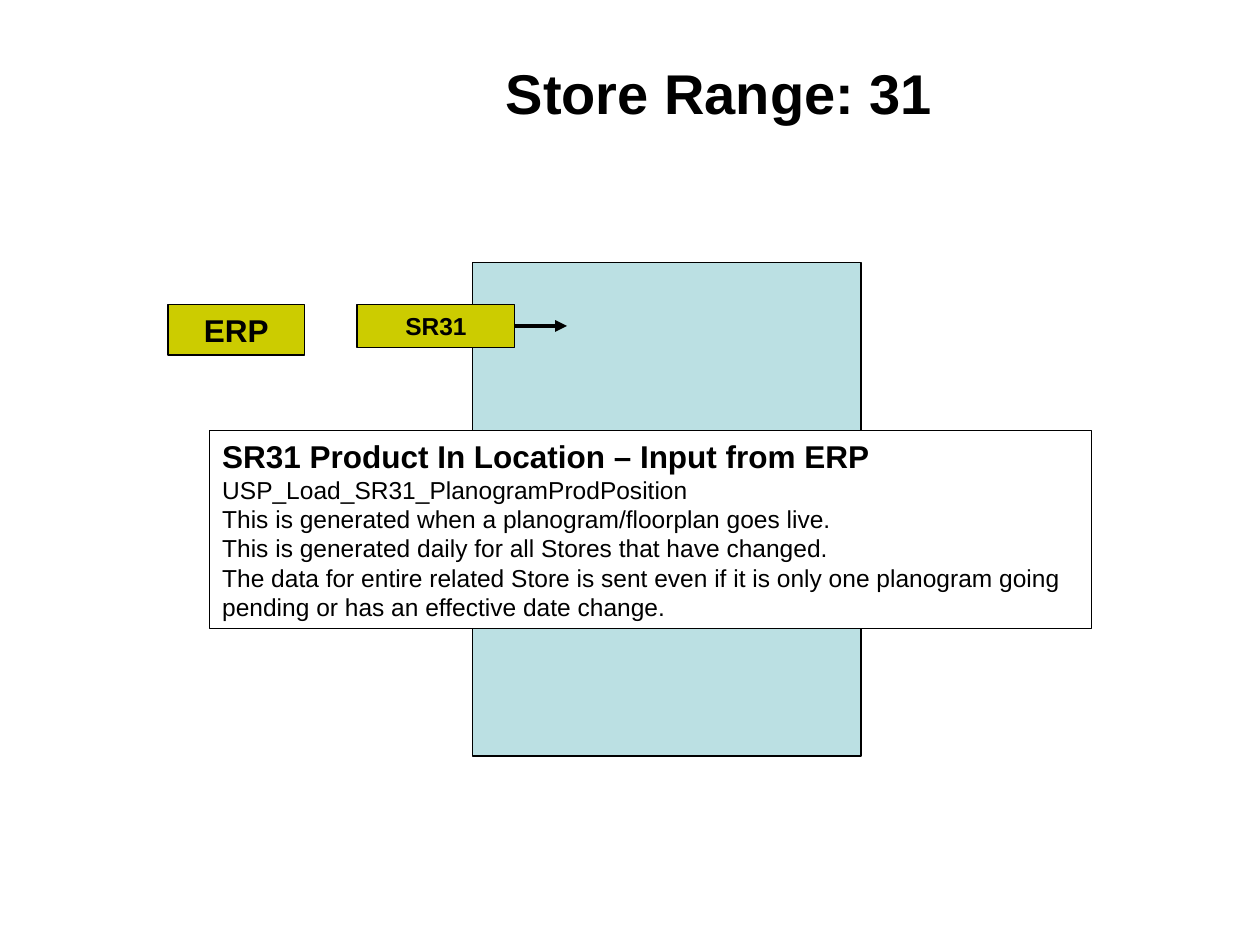
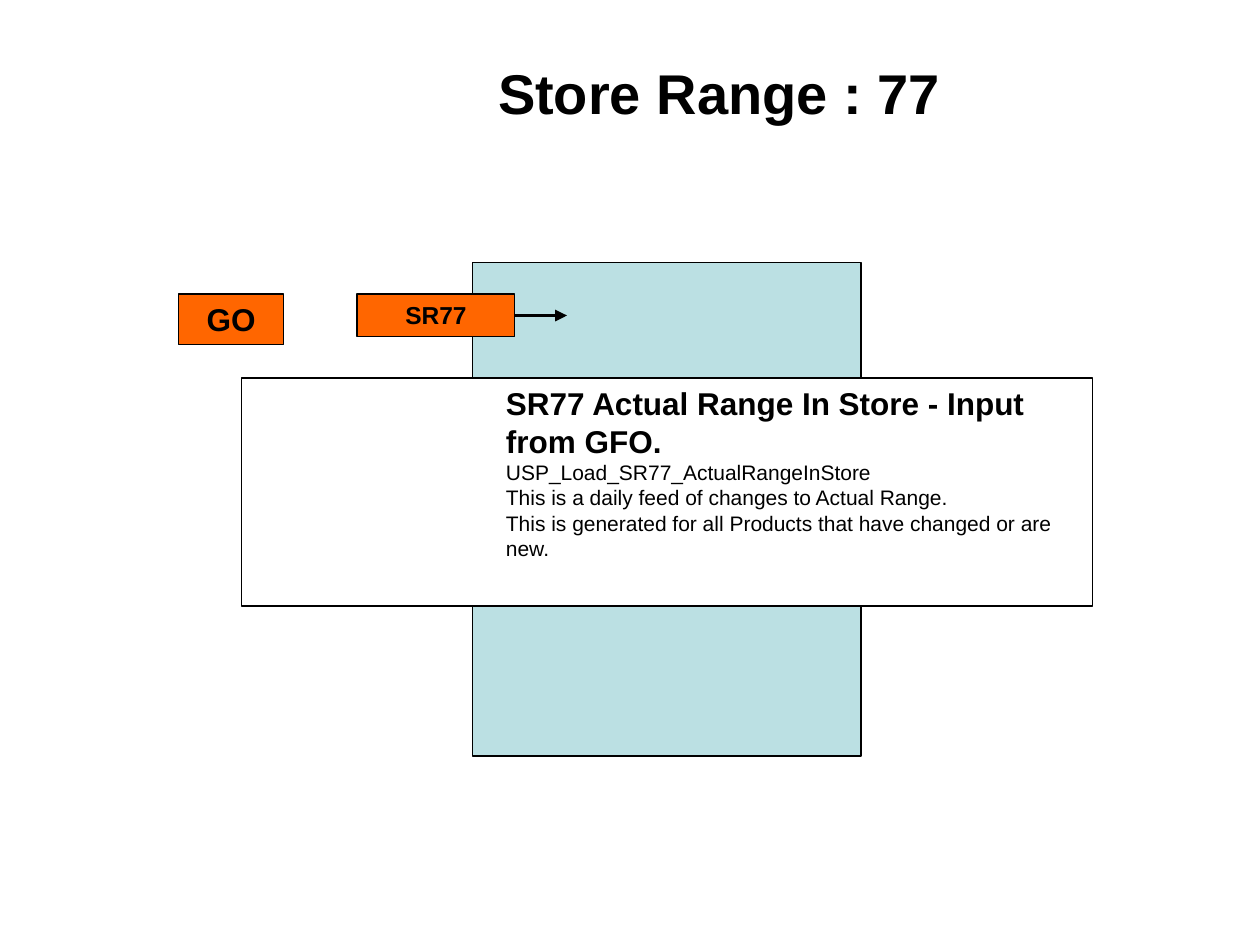
from dataclasses import dataclass

from lxml import etree
from pptx import Presentation
from pptx.dml.color import RGBColor
from pptx.enum.shapes import MSO_CONNECTOR, MSO_SHAPE
from pptx.enum.text import MSO_ANCHOR, PP_ALIGN
from pptx.oxml.ns import qn
from pptx.util import Cm, Pt

RECTANGLE = MSO_SHAPE.RECTANGLE
STRAIGHT = MSO_CONNECTOR.STRAIGHT
LEFT, CENTER = PP_ALIGN.LEFT, PP_ALIGN.CENTER
TOP = MSO_ANCHOR.TOP
RIGHT_SIDE = 3


@dataclass(frozen=True)
class Theme:
    font: str = "Arial"
    ink: RGBColor = RGBColor(0x00, 0x00, 0x00)
    paper: RGBColor = RGBColor(0xFF, 0xFF, 0xFF)
    store: RGBColor = RGBColor(0xBB, 0xE0, 0xE3)
    olive: RGBColor = RGBColor(0xCC, 0xCC, 0x00)
    orange: RGBColor = RGBColor(0xFF, 0x66, 0x00)
    title_size: int = 32
    heading_size: int = 18
    feed_size: int = 14
    outline: float = 0.75
    arrow: float = 2.25


theme = Theme()

# Lengths in centimetres; panel gives left, top, width, height.
feeds = [
    dict(
        title="Store Range: 31", color=theme.olive, top=6.14,
        source="ERP", source_left=3.39, source_width=2.75, code="SR31",
        panel=(4.23, 8.68, 17.78, 3.99), margin=0.97, indent=-0.97, body_size=14,
        heading="SR31 Product In Location – Input from ERP",
        body=[
            "USP_Load_SR31_PlanogramProdPosition",
            "This is generated when a planogram/floorplan goes live.",
            "This is generated daily for all Stores that have changed.",
            "The data for entire related Store is sent even if it is only one planogram going",
            "pending or has an effective date change.",
        ],
    ),
    dict(
        title="Store Range : 77", color=theme.orange, top=5.93,
        source="GO", source_left=3.6, source_width=2.12, code="SR77",
        panel=(4.87, 7.62, 17.15, 4.6), margin=5.08, indent=0, body_size=12,
        heading="SR77 Actual Range In Store - Input from GFO.",
        body=[
            "USP_Load_SR77_ActualRangeInStore",
            "This is a daily feed of changes to Actual Range.",
            "This is generated for all Products that have changed or are new.",
        ],
    ),
]


def add_box(page, bounds, fill):
    box = page.shapes.add_shape(RECTANGLE, *map(Cm, bounds))
    box.shadow.inherit = False
    box.fill.solid()
    box.fill.fore_color.rgb = fill
    box.line.color.rgb = theme.ink
    box.line.width = Pt(theme.outline)
    return box


def write(box, lines, align=CENTER, margin=0, indent=0):
    """Fill a box with paragraphs given as (text, size, bold)."""
    frame = box.text_frame
    frame.word_wrap = True
    frame.vertical_anchor = TOP
    for index, (text, size, bold) in enumerate(lines):
        para = frame.add_paragraph() if index else frame.paragraphs[0]
        para.text = text
        para.alignment = align
        properties = para._p.get_or_add_pPr()
        properties.set("marL", str(Cm(margin)))
        properties.set("indent", str(Cm(indent)))
        para.font.name = theme.font
        para.font.size = Pt(size)
        para.font.bold = bold
        para.font.color.rgb = theme.ink


deck = Presentation()
deck.slide_width, deck.slide_height = Cm(25.4), Cm(19.05)
blank = deck.slide_layouts[6]

for feed in feeds:
    page = deck.slides.add_slide(blank)
    add_box(page, (9.53, 5.29, 7.83, 9.95), theme.store)

    feed_box = add_box(page, (7.2, feed["top"], 3.18, 0.86), feed["color"])
    write(feed_box, [(feed["code"], theme.feed_size, True)])

    arrow_y = feed_box.top + feed_box.height // 2
    arrow = page.shapes.add_connector(STRAIGHT, Cm(10.38), arrow_y, Cm(11.43), arrow_y)
    arrow.begin_connect(feed_box, RIGHT_SIDE)
    arrow.line.color.rgb = theme.ink
    arrow.line.width = Pt(theme.arrow)
    etree.SubElement(arrow.line._get_or_add_ln(), qn("a:tailEnd"), type="triangle")
    etree.SubElement(arrow._element.spPr, qn("a:effectLst"))

    source_bounds = (feed["source_left"], feed["top"], feed["source_width"], 1.02)
    source_box = add_box(page, source_bounds, feed["color"])
    write(source_box, [(feed["source"], theme.heading_size, True)])

    title_box = page.shapes.add_textbox(Cm(7.62), Cm(1.06), Cm(13.76), Cm(1.63))
    write(title_box, [(feed["title"], theme.title_size, True)])

    panel = add_box(page, feed["panel"], theme.paper)
    heading = (feed["heading"], theme.heading_size, True)
    body = [(text, feed["body_size"], False) for text in feed["body"]]
    write(panel, [heading, *body], LEFT, feed["margin"], feed["indent"])

deck.save("out.pptx")
